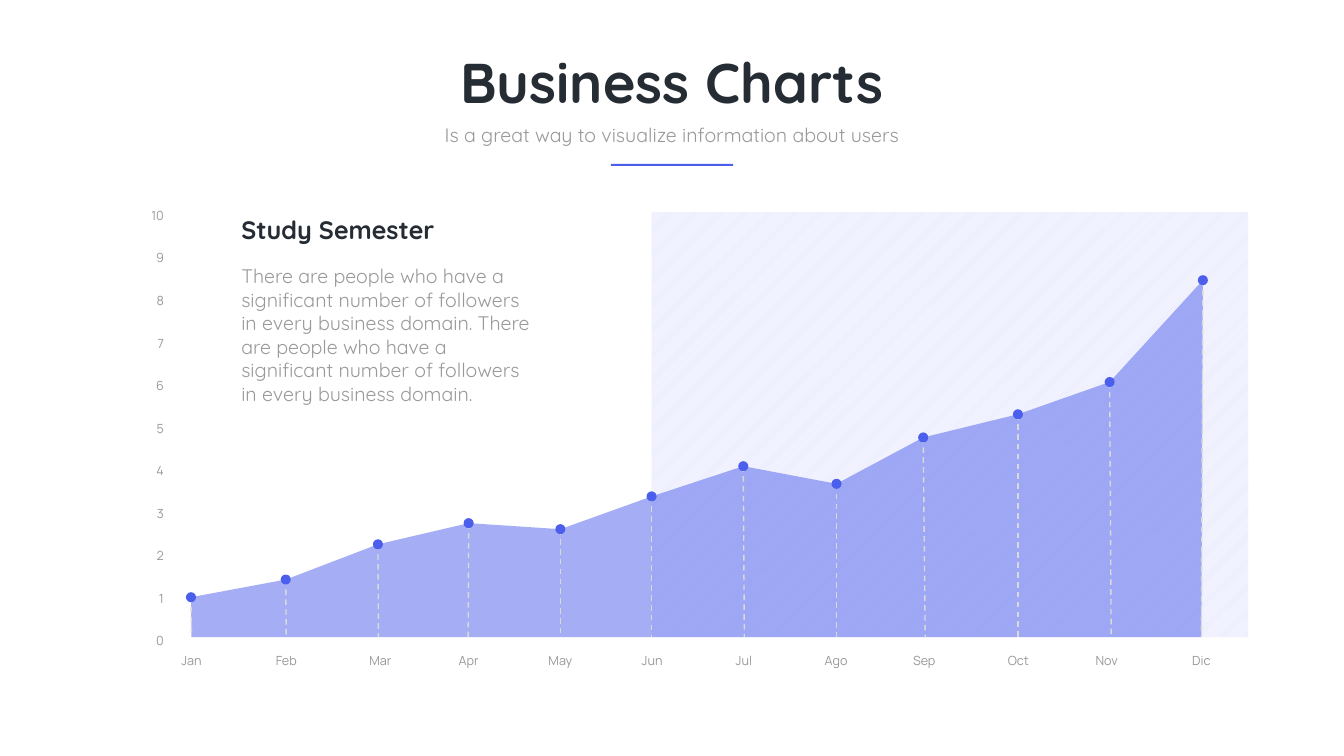
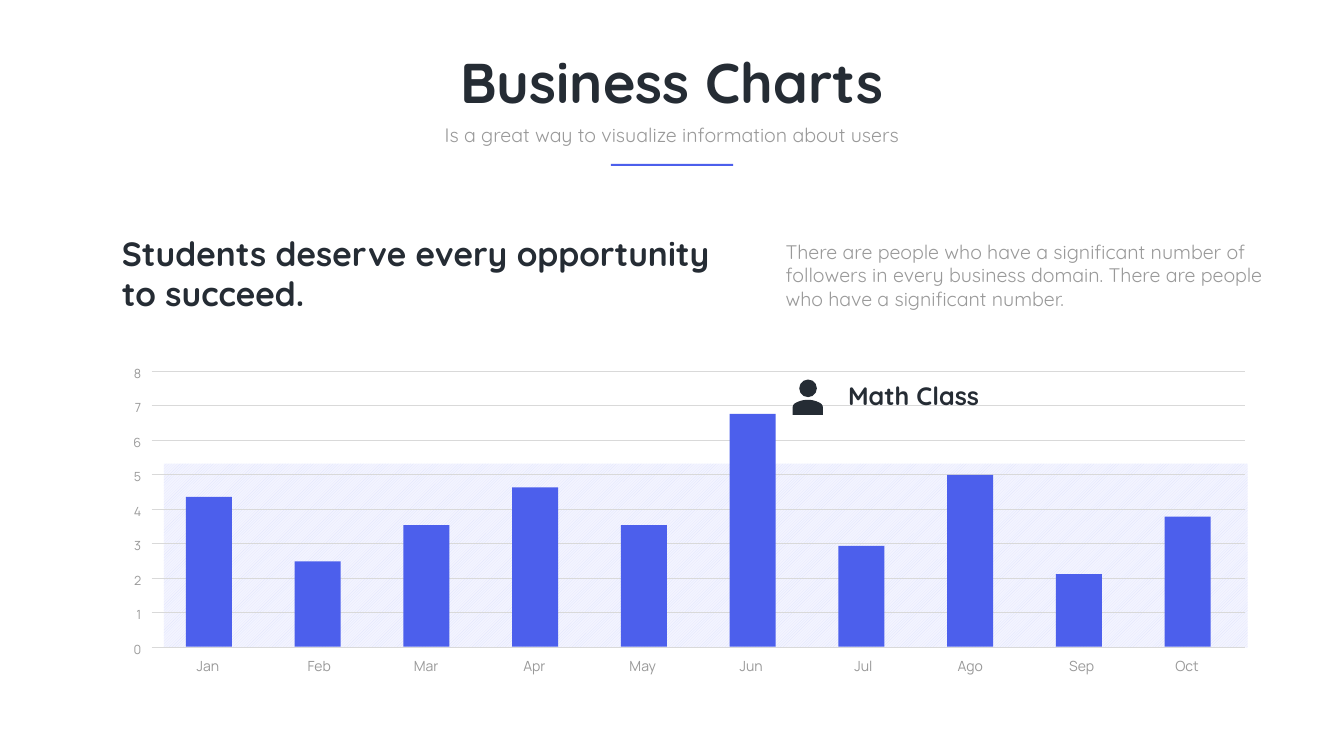
from lxml import etree
from pptx import Presentation
from pptx.dml.color import RGBColor
from pptx.enum.dml import MSO_LINE, MSO_PATTERN
from pptx.enum.shapes import MSO_CONNECTOR, MSO_SHAPE
from pptx.enum.text import MSO_AUTO_SIZE, PP_ALIGN
from pptx.oxml.ns import qn
from pptx.util import Pt

PX = 9144  # EMU per px, 100 px to the inch
WIDTH, HEIGHT = 2667, 1500
RECT, OVAL = MSO_SHAPE.RECTANGLE, MSO_SHAPE.OVAL
STRAIGHT, DASH = MSO_CONNECTOR.STRAIGHT, MSO_LINE.DASH
STRIPES = MSO_PATTERN.WIDE_UPWARD_DIAGONAL
LEFT, CENTER, RIGHT = PP_ALIGN.LEFT, PP_ALIGN.CENTER, PP_ALIGN.RIGHT
HEAD_FONT, LABEL_FONT = "Quicksand", "Manrope"
COLORS = {
    "ink": "252C34",
    "muted": "999999",
    "accent": "4C5FEC",
    "rule": "D9D9D9",
    "stripe": "DBDFFB",
    "stripe_back": "F3F4FF",
}


def emu(px):
    return round(px * PX)


def color(key):
    return RGBColor.from_string(COLORS[key])


def curve(p0, p1, p2, p3, steps=12):
    """Points along a cubic Bezier curve, without its start."""
    points = []
    for i in range(1, steps + 1):
        t = i / steps
        u = 1 - t
        weights = (u ** 3, 3 * u * u * t, 3 * u * t * t, t ** 3)
        points.append(tuple(sum(w * p[axis] for w, p in zip(weights, (p0, p1, p2, p3)))
                            for axis in (0, 1)))
    return points


class Deck:
    def __init__(self):
        self.prs = Presentation()
        self.prs.slide_width, self.prs.slide_height = emu(WIDTH), emu(HEIGHT)
        self.slide = None

    def new_slide(self):
        self.slide = self.prs.slides.add_slide(self.prs.slide_layouts[6])

    def text(self, x, y, w, h, words, size, ink="muted", font=HEAD_FONT,
             bold=False, align=LEFT, leading=None):
        box = self.slide.shapes.add_textbox(emu(x), emu(y), emu(w), emu(h))
        frame = box.text_frame
        frame.word_wrap = True
        frame.auto_size = MSO_AUTO_SIZE.SHAPE_TO_FIT_TEXT
        paragraph = frame.paragraphs[0]
        paragraph.alignment = align
        if leading:
            paragraph.line_spacing = Pt(leading)
        run = paragraph.add_run()
        run.text = words
        run.font.name, run.font.size, run.font.bold = font, Pt(size), bold
        run.font.color.rgb = color(ink)

    def heading(self, x, y, w, h, words, size, align=LEFT):
        self.text(x, y, w, h, words, size, ink="ink", bold=True, align=align)

    def label(self, x, y, w, h, words, align, size=18):
        self.text(x, y, w, h, words, size, font=LABEL_FONT, align=align, leading=35.6)

    def paint(self, shape, fill, opacity=None):
        shape.shadow.inherit = False
        shape.line.fill.background()
        shape.fill.solid()
        shape.fill.fore_color.rgb = color(fill)
        if opacity:
            tint = shape.fill._xPr.find(qn("a:solidFill"))[0]
            etree.SubElement(tint, qn("a:alpha")).set("val", str(opacity * 1000))

    def shape(self, kind, x, y, w, h, fill="accent"):
        shape = self.slide.shapes.add_shape(kind, emu(x), emu(y), emu(w), emu(h))
        self.paint(shape, fill)
        return shape

    def striped_band(self, x, y, w, h):
        fill = self.shape(RECT, x, y, w, h).fill
        fill.patterned()
        fill.pattern = STRIPES
        fill.fore_color.rgb = color("stripe")
        fill.back_color.rgb = color("stripe_back")

    def outline(self, points, fill, opacity=None):
        start, *rest = [(emu(x), emu(y)) for x, y in points]
        builder = self.slide.shapes.build_freeform(*start, scale=1.0)
        builder.add_line_segments(rest, close=True)
        self.paint(builder.convert_to_shape(), fill, opacity)

    def line(self, x1, y1, x2, y2, width, dash=None):
        line = self.slide.shapes.add_connector(STRAIGHT, emu(x1), emu(y1), emu(x2), emu(y2))
        line.line.color.rgb = color("rule")
        line.line.width = Pt(width)
        if dash:
            line.line.dash_style = dash
        etree.SubElement(line._element.spPr, qn("a:effectLst"))

    def title_block(self):
        self.heading(688, 90, 1291, 145, "Business Charts", 80, align=CENTER)
        self.text(855, 238, 956, 57, "Is a great way to visualize information about users",
                  28, align=CENTER)
        self.shape(RECT, 1212, 325, 243, 4)

    def person_icon(self):
        shoulders = [(1628, 800)]
        shoulders += curve((1628, 800), (1613, 791), (1593, 791), (1578, 800))
        shoulders += curve((1578, 800), (1575, 802), (1573, 805), (1573, 809))
        shoulders += [(1573, 823), (1633, 823), (1633, 809)]
        shoulders += curve((1633, 809), (1633, 805), (1631, 802), (1628, 800))
        self.outline(shoulders, "ink")
        self.shape(OVAL, 1586, 753, 35, 35, "ink")


def area_slide(deck):
    baseline, dot = 1264, 20
    # month, point x, point y, foot of the drop line, label left
    months = [
        ("Jan", 379, 1185, 380, 324), ("Feb", 567, 1150, 568, 512),
        ("Mar", 750, 1080, 751, 699), ("Apr", 930, 1038, 929, 874),
        ("May", 1112, 1050, 1112, 1056), ("Jun", 1293, 985, 1293, 1238),
        ("Jul", 1475, 925, 1477, 1420), ("Ago", 1660, 960, 1660, 1603),
        ("Sep", 1832, 868, 1836, 1778), ("Oct", 2020, 822, 2020, 1965),
        ("Nov", 2202, 758, 2205, 2140), ("Dic", 2387, 556, 2384, 2328),
    ]
    deck.new_slide()
    deck.striped_band(1293, 421, 1184, 843)
    deck.title_block()

    # Introduction
    sentence = "There are people who have a significant number of followers in every business domain."
    deck.text(469, 519, 600, 293, f"{sentence} {sentence}", 28)
    deck.heading(469, 421, 600, 71, "Study Semester", 36)

    # Area and value axis
    area = [(x, y) for _, x, y, _, _ in months]
    area += [(months[-1][3], baseline), (months[0][3], baseline)]
    deck.outline(area, "accent", opacity=50)
    for value in range(11):
        deck.label(223, 1232 - 84.4 * value, 112, 48, str(value), RIGHT)

    # Drop lines, months and points
    for month, x, y, foot, label_left in months:
        deck.line(x, y, foot, baseline, 2, DASH)
        deck.label(label_left, 1272, 112, 56, month, CENTER)
    for _, x, y, _, _ in months:
        deck.shape(OVAL, x - dot / 2, y - dot / 2, dot, dot)


def bar_slide(deck):
    baseline, grid_top, grid_step, max_value = 1283, 736, 68.5, 8
    bar_left, bar_step, bar_width = 369, 215.8, 91
    # month, bar top, label left
    months = [
        ("Jan", 986, 352), ("Feb", 1114, 573), ("Mar", 1042, 785), ("Apr", 967, 1000),
        ("May", 1042, 1215), ("Jun", 821, 1430), ("Jul", 1083, 1653), ("Ago", 942, 1865),
        ("Sep", 1139, 2086), ("Oct", 1025, 2295),
    ]
    deck.new_slide()
    deck.title_block()

    # Introduction
    deck.heading(232, 457, 1219, 172, "Students deserve every opportunity to succeed.", 48)
    deck.text(1549, 471, 985, 151,
              "There are people who have a significant number of followers in every business "
              "domain. There are people who have a significant number.", 28)

    # Grid and value axis
    deck.striped_band(325, 920, 2151, 365)
    for row in range(max_value + 1):
        y = grid_top + grid_step * row
        deck.line(301, y, 2471, y, 1)
        deck.label(231, y - 35, 59, 56, str(max_value - row), RIGHT)

    # Bars and months
    for i, (month, top, label_left) in enumerate(months):
        deck.shape(RECT, bar_left + bar_step * i, top, bar_width, baseline - top)
        deck.label(label_left, 1283, 121, 56, month, CENTER, size=20)

    # Callout beside the highest bar
    deck.person_icon()
    deck.heading(1673, 750, 424, 71, "Math Class", 36)


def main():
    deck = Deck()
    area_slide(deck)
    bar_slide(deck)
    deck.prs.save("out.pptx")


if __name__ == "__main__":
    main()
